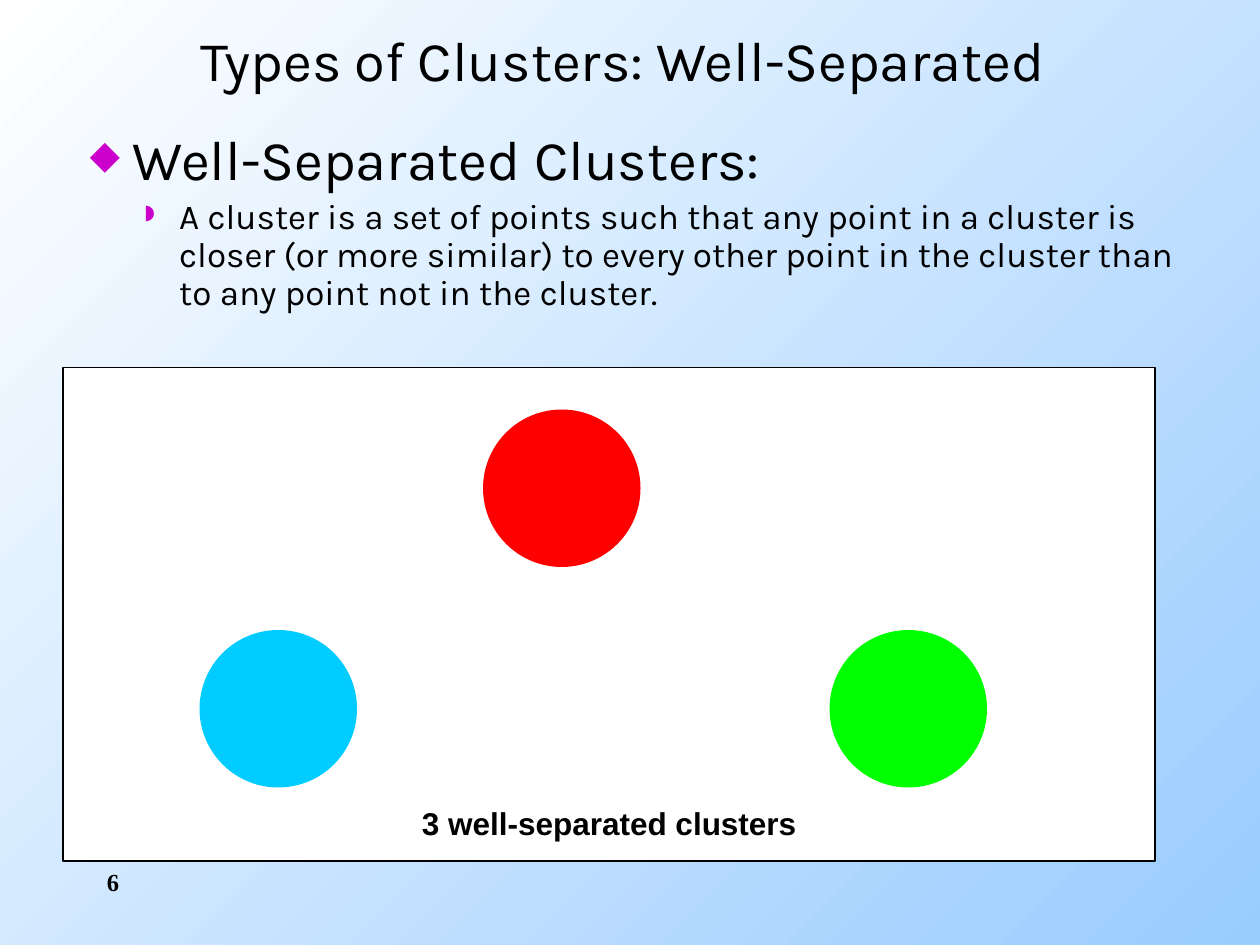
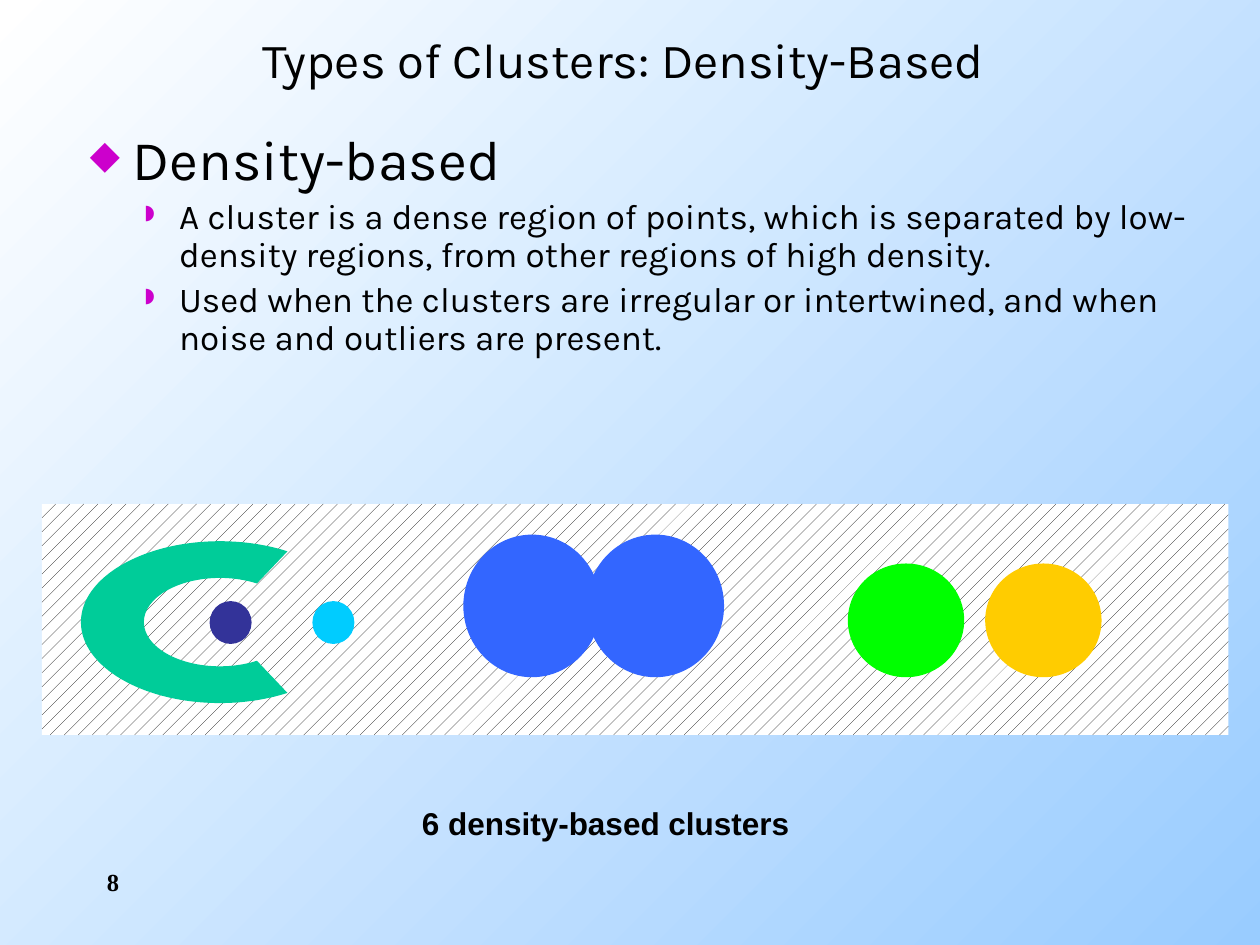
import math
from lxml import etree
from pptx import Presentation
from pptx.dml.color import RGBColor
from pptx.enum import dml, shapes, text
from pptx.oxml import ns
from pptx.util import Pt

BLACK = RGBColor(0x00, 0x00, 0x00)
WHITE = RGBColor(0xFF, 0xFF, 0xFF)
PALE_BLUE = RGBColor(0x99, 0xCC, 0xFF)
MAGENTA = RGBColor(0xCC, 0x00, 0xCC)
RED = RGBColor(0xFF, 0x00, 0x00)
GREEN = RGBColor(0x00, 0xFF, 0x00)
SKY = RGBColor(0x00, 0xCC, 0xFF)
INDIGO = RGBColor(0x33, 0x33, 0x99)
BLUE = RGBColor(0x33, 0x66, 0xFF)
GOLD = RGBColor(0xFF, 0xCC, 0x00)
TEAL = RGBColor(0x00, 0xCC, 0x99)

# Bullet levels: symbol, bullet percent, text indent, hanging indent, size, space before
LEVELS = [("◆", 70, 32.25, 24.5, 32, 0), ("◗", 60, 58.75, 19.25, 20, 4)]

# Title, title size, body lines with levels, caption, page number
PAGES = [
    ("Types of Clusters: Well-Separated", 32, [
        (0, "Well-Separated Clusters:"),
        (1, "A cluster is a set of points such that any point in a cluster is "
            "closer (or more similar) to every other point in the cluster than "
            "to any point not in the cluster."),
    ], "3 well-separated clusters", "6"),
    ("Types of Clusters: Density-Based", 28, [
        (0, "Density-based"),
        (1, "A cluster is a dense region of points, which is separated by "
            "low-density regions, from other regions of high density."),
        (1, "Used when the clusters are irregular or intertwined, and when "
            "noise and outliers are present."),
    ], "6 density-based clusters", "8"),
]

# Clusters on each page: left, top, width, height, colour
CLUSTERS = [
    [(114, 360, 90, 90, SKY),
     (474, 360, 90, 90, GREEN),
     (276, 234, 90, 90, RED)],
    [(119.75, 343.5, 24, 24.5, INDIGO),
     (178.5, 343.5, 24, 24.5, SKY),
     (484.5, 322, 66.5, 65, GREEN),
     (563, 322, 66.5, 65, GOLD),
     (264.75, 305.5, 78.5, 81.5, BLUE),
     (335.25, 305.5, 78.5, 81.5, BLUE)],
]

# Crescent: centre, then radii of the outer and the inner arc, and its corner angles
CENTER_X, CENTER_Y = 125.75, 355.5
OUTER, INNER = (79.5, 46.25), (43.5, 25.25)
ANGLES = [math.radians(degree) for degree in (61, 90, 180, 270, 299)]


def add_text(page, left, top, width, height, lines, font, size=None,
             bold=False, align=None, anchor=text.MSO_ANCHOR.TOP):
    """Add a text box; lines are (level, words), with level None for no bullet."""
    box = page.shapes.add_textbox(Pt(left), Pt(top), Pt(width), Pt(height))
    frame = box.text_frame
    frame.word_wrap = True
    frame.vertical_anchor = anchor
    for number, (level, words) in enumerate(lines):
        para = frame.paragraphs[0] if number == 0 else frame.add_paragraph()
        para.text = words
        para.alignment = align
        para_size = size
        if level is not None:
            symbol, percent, indent, hanging, para_size, before = LEVELS[level]
            para.level = level
            para.line_spacing = 0.9
            para.space_before = Pt(before)
            settings = para._p.get_or_add_pPr()
            settings.set("marL", str(Pt(indent)))
            settings.set("indent", str(-Pt(hanging)))
            colour = etree.SubElement(settings, ns.qn("a:buClr"))
            etree.SubElement(colour, ns.qn("a:srgbClr"), val=str(MAGENTA))
            etree.SubElement(settings, ns.qn("a:buSzPct"), val=str(percent * 1000))
            etree.SubElement(settings, ns.qn("a:buChar"), char=symbol)
        para.font.name = font
        para.font.size = Pt(para_size)
        para.font.bold = bold
        para.font.color.rgb = BLACK


def add_figure(page, kind, left, top, width, height, colour):
    """Add a plain filled shape without outline or shadow."""
    figure = page.shapes.add_shape(kind, Pt(left), Pt(top), Pt(width), Pt(height))
    figure.shadow.inherit = False
    figure.fill.solid()
    figure.fill.fore_color.rgb = colour
    figure.line.fill.background()
    return figure


deck = Presentation()
deck.slide_width, deck.slide_height = Pt(720), Pt(540)

for index, (title, title_size, lines, caption, page_number) in enumerate(PAGES):
    page = deck.slides.add_slide(deck.slide_layouts[6])

    # Background running from white to pale blue, top left to bottom right
    backdrop = page.background.fill
    backdrop.gradient()
    backdrop.gradient_angle = 315
    for stop, colour in zip(backdrop.gradient_stops, (WHITE, PALE_BLUE)):
        stop.color.rgb = colour

    # Panel behind the clusters
    if index == 0:
        panel = add_figure(page, shapes.MSO_SHAPE.RECTANGLE, 36, 210, 624, 282, WHITE)
        panel.line.color.rgb = BLACK
        panel.line.width = Pt(0.75)
    else:
        noise = add_figure(page, shapes.MSO_SHAPE.RECTANGLE, 24, 288, 678, 132, WHITE)
        noise.fill.patterned()
        noise.fill.pattern = dml.MSO_PATTERN.PERCENT_10
        noise.fill.fore_color.rgb = BLACK
        noise.fill.back_color.rgb = WHITE

        # Crescent: outer arc one way, inner arc back
        corners = ([(OUTER, angle) for angle in ANGLES]
                   + [(INNER, angle) for angle in reversed(ANGLES)])
        outline = [(Pt(CENTER_X + radii[0] * math.cos(angle)),
                    Pt(CENTER_Y + radii[1] * math.sin(angle)))
                   for radii, angle in corners]
        builder = page.shapes.build_freeform(*outline[0], scale=1.0)
        builder.add_line_segments(outline[1:], close=True)
        crescent = builder.convert_to_shape()
        crescent.shadow.inherit = False
        crescent.fill.solid()
        crescent.fill.fore_color.rgb = TEAL
        crescent.line.fill.background()

        # Bend each side that follows an ellipse
        sides = list(crescent._element.iter(ns.qn("a:lnTo")))
        for side, (radii, start), (end_radii, end) in zip(sides, corners, corners[1:]):
            if radii != end_radii:
                continue
            side.tag = ns.qn("a:cubicBezTo")
            reach = 4 / 3 * math.tan((end - start) / 4)
            for place, (angle, pull) in enumerate(((start, reach), (end, -reach))):
                across = math.cos(angle) - pull * math.sin(angle)
                down = math.sin(angle) + pull * math.cos(angle)
                handle = etree.Element(
                    ns.qn("a:pt"),
                    x=str(Pt(CENTER_X + radii[0] * across) - crescent.left),
                    y=str(Pt(CENTER_Y + radii[1] * down) - crescent.top))
                side.insert(place, handle)

    # Round clusters
    for cluster in CLUSTERS[index]:
        add_figure(page, shapes.MSO_SHAPE.OVAL, *cluster)

    # Title, body, caption and page number
    add_text(page, 30, 12, 652.5, 43.5, [(None, title)], "Karla", title_size,
             align=text.PP_ALIGN.CENTER, anchor=text.MSO_ANCHOR.MIDDLE)
    add_text(page, 36.5, 72, 652.5, 425.5, lines, "Karla")
    add_text(page, 234, 456, 252, 29, [(None, caption)], "Arial", 18, bold=True)
    add_text(page, 54, 492, 150, 36, [(None, page_number)], "Times New Roman", 14,
             bold=True)

deck.save("out.pptx")
